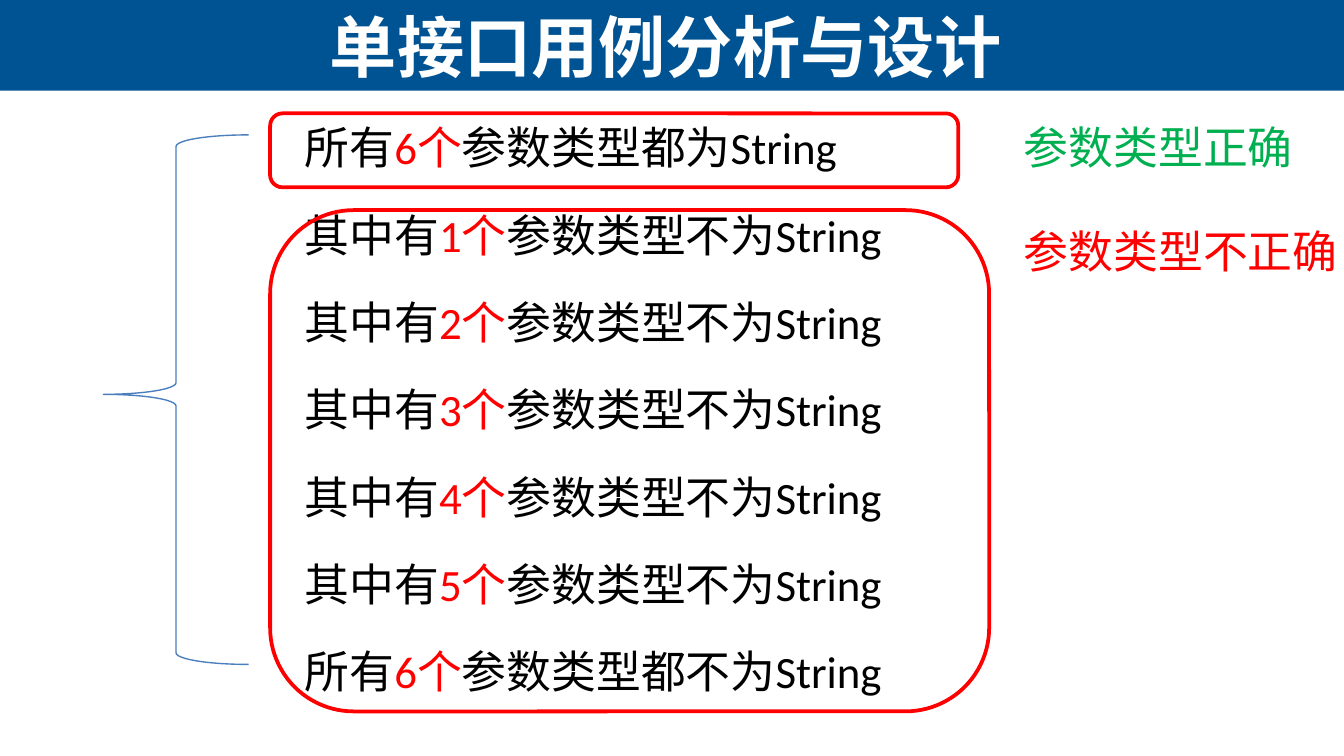
from pptx import Presentation
from pptx import util as u
from pptx.dml import color as c
from pptx.enum import shapes, text

WIDTH = 10
HEIGHT = WIDTH * 9 / 16
COLORS = {
    "banner": "005392",
    "white": "FFFFFF",
    "black": "000000",
    "red": "FF0000",
    "green": "00B050",
    "brace": "4B7EBC",
}
# Each case: start, highlighted count, end
CASES = [
    ("所有", "6个", "参数类型都为String"),
    *[("其中有", f"{count}个", "参数类型不为String") for count in range(1, 6)],
    ("所有", "6个", "参数类型都不为String"),
]
# Each verdict: label, colour, text box width
VERDICTS = [("参数类型正确", "green", 2.24), ("参数类型不正确", "red", 3.23)]


def color(name):
    return c.RGBColor.from_string(COLORS[name])


def add_outline(slide, kind, box, line, width):
    shape = slide.shapes.add_shape(kind, *map(u.Inches, box))
    shape.shadow.inherit = False
    shape.fill.background()
    shape.line.color.rgb = color(line)
    shape.line.width = u.Pt(width)
    return shape


def add_text_frame(slide, box):
    frame = slide.shapes.add_textbox(*map(u.Inches, box)).text_frame
    frame.word_wrap = True
    return frame


def style(paragraph, size, ink, name="Calibri", bold=False):
    paragraph.font.size = u.Pt(size)
    paragraph.font.name = name
    paragraph.font.bold = bold
    paragraph.font.color.rgb = color(ink)


def add_banner(slide, box):
    left, top, width, height = box
    banner = slide.shapes.add_shape(shapes.MSO_SHAPE.RECTANGLE, *map(u.Inches, box))
    banner.shadow.inherit = False
    banner.fill.solid()
    banner.fill.fore_color.rgb = color("banner")
    banner.line.fill.background()

    # Title sits slightly left of the banner's centre
    frame = add_text_frame(slide, (left + 0.02, top, width - 0.13, height))
    frame.vertical_anchor = text.MSO_ANCHOR.MIDDLE
    paragraph = frame.paragraphs[0]
    paragraph.text = "单接口用例分析与设计"
    paragraph.alignment = text.PP_ALIGN.CENTER
    style(paragraph, 36, "white", "Arial", True)


def add_cases(slide, box):
    left, top, width, height = box

    # Brace spanning all cases
    brace = add_outline(slide, shapes.MSO_SHAPE.LEFT_BRACE,
                        (left, top + 0.16, 1.08, 3.94), "brace", 0.75)
    brace.adjustments[0] = 0.08
    brace.adjustments[1] = 0.49

    # Case list with red counts
    frame = add_text_frame(slide, (left + 1.4, top, 5.66, height))
    for index, parts in enumerate(CASES):
        paragraph = frame.add_paragraph() if index else frame.paragraphs[0]
        if index:
            paragraph.space_before = u.Pt(18)
        style(paragraph, 24, "black")
        for part, ink in zip(parts, ("black", "red", "black")):
            run = paragraph.add_run()
            run.text = part
            run.font.color.rgb = color(ink)

    # Frames around the valid case and the invalid ones
    for offset, frame_width, frame_height in ((0, 5.12, 0.55), (0.72, width - 1.24, 3.73)):
        add_outline(slide, shapes.MSO_SHAPE.ROUNDED_RECTANGLE,
                    (left + 1.24, top + offset, frame_width, frame_height), "red", 2)


def add_verdicts(slide, box):
    left, top, row = box
    for index, (label, ink, width) in enumerate(VERDICTS):
        frame = add_text_frame(slide, (left, top + index * row, width, 0.5))
        paragraph = frame.paragraphs[0]
        paragraph.text = label
        style(paragraph, 24, ink)


def main():
    presentation = Presentation()
    presentation.slide_width = u.Inches(WIDTH)
    presentation.slide_height = u.Inches(HEIGHT)
    slide = presentation.slides.add_slide(presentation.slide_layouts[6])
    slide.background.fill.solid()
    slide.background.fill.fore_color.rgb = color("white")

    body_top = HEIGHT * 0.15
    add_banner(slide, (0, 0, WIDTH, HEIGHT * 0.12))
    add_cases(slide, (0.77, body_top, 6.59, 4.44))
    add_verdicts(slide, (7.52, body_top, 0.77))
    presentation.save("out.pptx")


if __name__ == "__main__":
    main()
